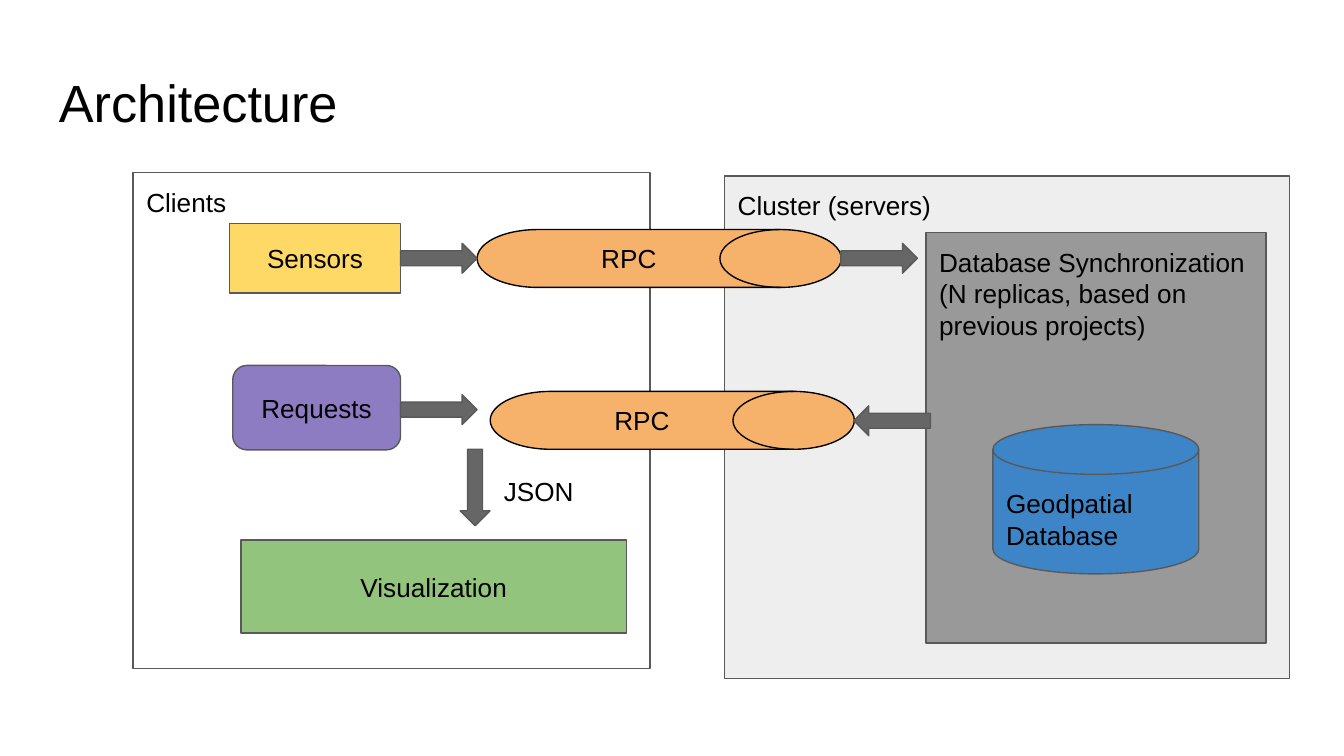
from pptx import Presentation
from pptx.dml.color import RGBColor
from pptx.enum.shapes import MSO_SHAPE
from pptx.enum.text import MSO_ANCHOR, PP_ALIGN
from pptx.util import Pt

RECTANGLE = MSO_SHAPE.RECTANGLE
ROUNDED = MSO_SHAPE.FLOWCHART_ALTERNATE_PROCESS
DRUM = MSO_SHAPE.FLOWCHART_DIRECT_ACCESS_STORAGE
DISK = MSO_SHAPE.FLOWCHART_MAGNETIC_DISK
ARROW = MSO_SHAPE.RIGHT_ARROW
TOP, MIDDLE = MSO_ANCHOR.TOP, MSO_ANCHOR.MIDDLE
LEFT, CENTER = PP_ALIGN.LEFT, PP_ALIGN.CENTER

COLORS = {
    "black": "000000", "outline": "595959", "arrow": "666666",
    "cluster": "EEEEEE", "synchronization": "999999", "sensors": "FFD966",
    "requests": "8E7CC3", "rpc": "F6B26B", "visualization": "93C47D",
    "database": "3D85C6",
}
FONT = "Arial"
INSET = 7.2
ARROW_SIZE = (41, 16)
DRUM_SIZE = (195.12, 31)

LABELS = [
    ("Architecture", (24.5, 30.3, 671, 45.4), 28),
    ("JSON", (262.8, 247.7, 457.2, 59.8), 14),
]
PANELS = [
    (RECTANGLE, (71.3, 92.6, 277, 265.6), None, ["Clients"]),
    (RECTANGLE, (388.1, 94.4, 302.6, 269), "cluster", ["Cluster (servers)"]),
    (RECTANGLE, (496, 124.7, 182.3, 219.7), "synchronization",
     ["Database Synchronization", "(N replicas, based on previous projects)"]),
    (DISK, (531.9, 227.5, 110.3, 80), "database", ["Geodpatial", "Database"]),
]
NODES = [
    (RECTANGLE, (123, 119.7, 91.6, 37.3), "sensors", "outline", "Sensors"),
    (ROUNDED, (124.7, 195.8, 89.9, 45.2), "requests", "outline", "Requests"),
    (RECTANGLE, (129.1, 289.4, 206.6, 49.8), "visualization", "outline", "Visualization"),
    (DRUM, (255.6, 123, *DRUM_SIZE), "rpc", "black", "RPC"),
    (DRUM, (262.6, 209.7, *DRUM_SIZE), "rpc", "black", "RPC"),
]
ARROWS = [
    (214.6, 130.4, 0),
    (450.5, 130.4, 0),
    (214.6, 211.5, 0),
    (457.4, 217.4, 180),
    (234, 253.2, 90),
]


def color(name):
    return RGBColor.from_string(COLORS[name])


def write(shape, lines, size=14, anchor=TOP, alignment=LEFT):
    frame = shape.text_frame
    frame.word_wrap = True
    frame.vertical_anchor = anchor
    frame.margin_left = frame.margin_right = Pt(INSET)
    frame.margin_top = frame.margin_bottom = Pt(INSET)
    frame.text = "\n".join(lines)
    for paragraph in frame.paragraphs:
        paragraph.alignment = alignment
        paragraph.font.name = FONT
        paragraph.font.size = Pt(size)
        paragraph.font.color.rgb = color("black")


def add_shape(slide, kind, box, fill, line="outline"):
    shape = slide.shapes.add_shape(kind, *map(Pt, box))
    shape.shadow.inherit = False
    if fill:
        shape.fill.solid()
        shape.fill.fore_color.rgb = color(fill)
    else:
        shape.fill.background()
    shape.line.color.rgb = color(line)
    shape.line.width = Pt(0.75)
    return shape


presentation = Presentation()
presentation.slide_width = Pt(720)
presentation.slide_height = Pt(405)
slide = presentation.slides.add_slide(presentation.slide_layouts[6])

for kind, box, fill, lines in PANELS:
    write(add_shape(slide, kind, box, fill), lines)

for kind, box, fill, line, text in NODES:
    write(add_shape(slide, kind, box, fill, line), [text], anchor=MIDDLE, alignment=CENTER)

for left, top, rotation in ARROWS:
    arrow = add_shape(slide, ARROW, (left, top, *ARROW_SIZE), "arrow")
    arrow.rotation = rotation

for text, box, size in LABELS:
    write(slide.shapes.add_textbox(*map(Pt, box)), [text], size)

presentation.save("out.pptx")
